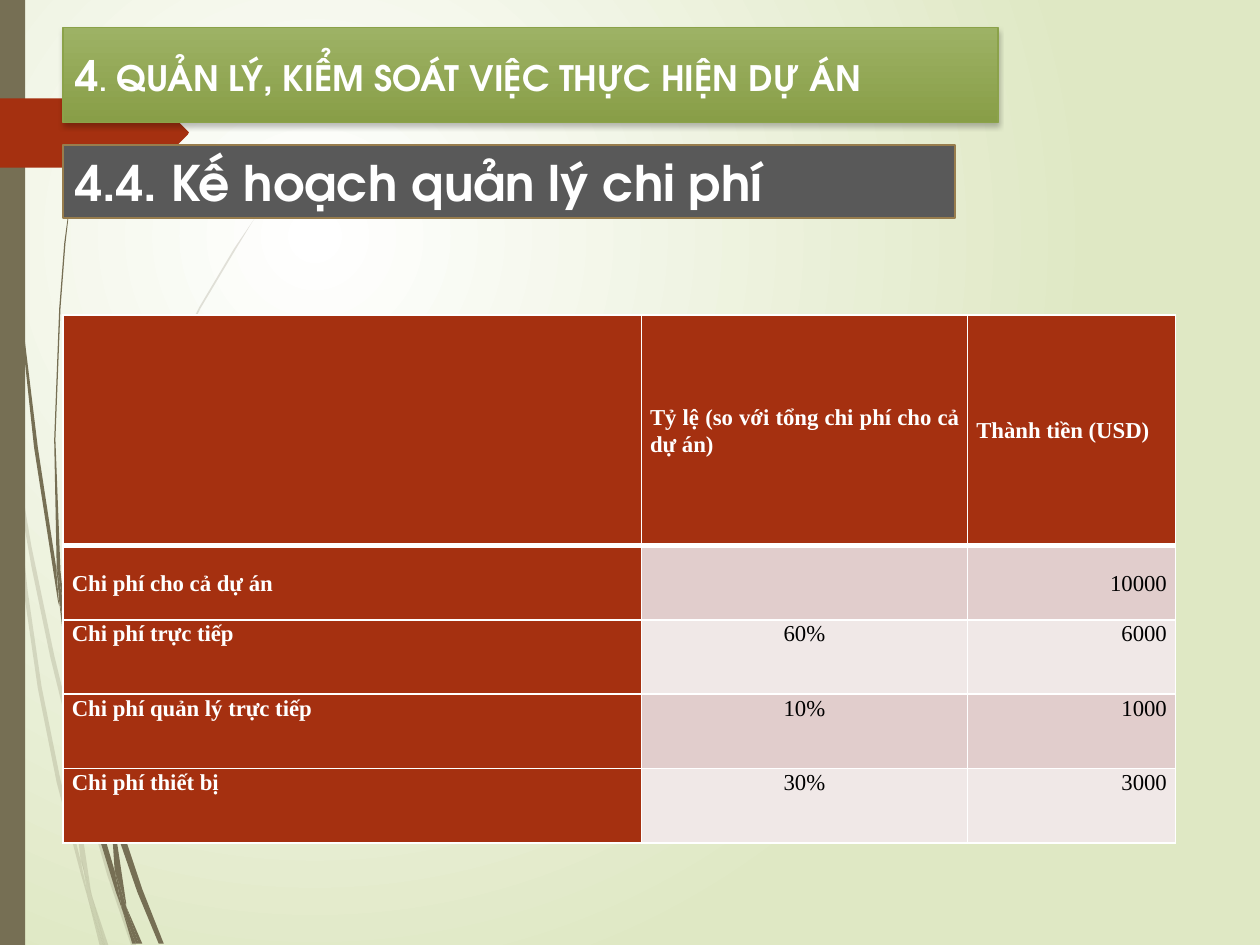
from lxml.etree import Element, SubElement
from pptx import Presentation
from pptx.dml.color import RGBColor
from pptx.enum.shapes import MSO_SHAPE
from pptx.enum.text import MSO_ANCHOR, MSO_AUTO_SIZE, PP_ALIGN
from pptx.oxml.ns import qn
from pptx.util import Inches, Pt

WHITE = RGBColor(0xFF, 0xFF, 0xFF)
BLACK = RGBColor(0, 0, 0)
PALE_GREEN = RGBColor(0xDF, 0xE8, 0xC4)
TAUPE = RGBColor(0x76, 0x6F, 0x54)
RUST = RGBColor(0xA5, 0x30, 0x10)
GREEN_TOP = RGBColor(0x9D, 0xB2, 0x65)
GREEN_BOTTOM = RGBColor(0x88, 0x9E, 0x47)
GREEN_LINE = RGBColor(0x8B, 0xA2, 0x49)
GREY = RGBColor(0x59, 0x59, 0x59)
BROWN_LINE = RGBColor(0x98, 0x7D, 0x4D)
BANDS = (RGBColor(0xE1, 0xCD, 0xCC), RGBColor(0xF0, 0xE8, 0xE7))

HEAD_FONT = "TeX Gyre Adventor"
BODY_FONT = "Times New Roman"

# text, size, bold
TITLE = [("4", 24, True), (".", 16, True), (" ", 20, False),
         ("QUẢN LÝ, KIỂM SOÁT VIỆC THỰC HIỆN DỰ ÁN", 20, True)]
SUBTITLE = [("4.4. Kế hoạch quản lý chi phí", 28, True)]

COSTS = [
    ("", "Tỷ lệ (so với tổng chi phí cho cả dự án)", "Thành tiền (USD)"),
    ("Chi phí cho cả dự án", "", "10000"),
    ("Chi phí trực tiếp", "60%", "6000"),
    ("Chi phí quản lý trực tiếp", "10%", "1000"),
    ("Chi phí thiết bị", "30%", "3000"),
]
COL_WIDTHS = (4.59, 2.59, 1.65)
ROW_HEIGHTS = (1.83,) + (0.59,) * 4
BODY_ALIGN = (PP_ALIGN.JUSTIFY, PP_ALIGN.CENTER, PP_ALIGN.RIGHT)

# outlines of the grass blades, in inches
PALE_BLADES = [
    [(0.08, 3.5), (0.06, 3.22), (0, 2.82), (0, 2.99), (0.07, 3.44)],
    [(0.4, 5.22), (0.59, 5.99), (0.59, 5.86), (0.43, 5.2), (0.25, 4.34),
     (0.1, 3.45), (0.12, 3.76), (0.25, 4.5)],
    [(0.64, 6.07), (0.61, 5.96), (0.61, 6.1), (0.85, 6.94), (1.04, 7.5),
     (1.08, 7.5), (0.88, 6.92)],
    [(0.83, 7.5), (0.86, 7.5), (0.73, 7.11)],
    [(0.64, 6.83), (0.48, 6.19), (0.33, 5.45), (0.22, 4.69), (0.12, 3.76),
     (0.08, 3.5), (0.19, 4.7), (0.3, 5.46), (0.45, 6.21), (0.64, 6.93),
     (0.7, 7.14), (0.69, 7.07)],
    [(0.58, 5.99), (0.6, 6.46), (0.64, 6.83), (0.67, 6.92), (0.73, 7.11),
     (0.72, 7.06), (0.63, 6.46), (0.61, 6.1), (0.61, 6.08)],
    [(0.61, 5.84), (0.66, 5.22), (0.76, 4.62), (0.92, 4.04), (1.11, 3.49),
     (1.34, 2.96), (1.59, 2.45), (1.87, 1.98), (2.01, 1.75), (2.17, 1.54),
     (2.17, 1.53), (2.01, 1.75), (1.86, 1.97), (1.58, 2.44), (1.33, 2.95),
     (1.1, 3.48), (0.9, 4.03), (0.75, 4.61), (0.64, 5.22), (0.59, 5.84),
     (0.59, 5.86), (0.61, 5.96)],
    [(0.7, 7.14), (0.79, 7.5), (0.82, 7.5)],
    [(0.61, 6.08), (0.61, 6.1), (0.61, 5.96), (0.59, 5.86), (0.58, 5.99)],
    [(0.67, 6.92), (0.65, 6.83), (0.69, 7.07), (0.7, 7.14), (0.82, 7.5),
     (0.83, 7.5), (0.73, 7.11)],
]
DARK_BLADES = [
    [(0.05, 1.1), (0.14, 2.33), (0.27, 3.55), (0.46, 4.77), (0.47, 4.81),
     (0.45, 4.57), (0.45, 4.53), (0.3, 3.55), (0.15, 2.32), (0.06, 1.09),
     (0.04, 0.48), (0.03, 0), (0.02, 0), (0.03, 0.48)],
    [(0.73, 5.92), (0.88, 6.45), (0.88, 6.33), (0.88, 6.31), (0.77, 5.9),
     (0.5, 4.72), (0.53, 5.05)],
    [(0.94, 6.49), (0.91, 6.41), (0.91, 6.56), (1.09, 7.08), (1.26, 7.49),
     (1.3, 7.49), (1.13, 7.06)],
    [(0.91, 6.91), (0.81, 6.57), (0.6, 5.56), (0.53, 5.05), (0.47, 4.77),
     (0.56, 5.57), (0.77, 6.59), (0.92, 7.08), (0.97, 7.22), (0.96, 7.17)],
    [(0.5, 4.72), (0.48, 4.53), (0.44, 3.49), (0.48, 2.45), (0.52, 1.93),
     (0.58, 1.41), (0.51, 1.93), (0.47, 2.45), (0.43, 3.49), (0.45, 4.49),
     (0.49, 4.72)],
    [(1.1, 7.49), (1.13, 7.49), (1, 7.19)],
    [(0.47, 4.77), (0.53, 5.05), (0.5, 4.72), (0.49, 4.72), (0.45, 4.49),
     (0.45, 4.53)],
    [(0.91, 6.33), (1.03, 5.52), (1.31, 4.76), (1.69, 4.06), (1.91, 3.74),
     (2.16, 3.44), (2.15, 3.44), (1.91, 3.73), (1.68, 4.05), (1.29, 4.74),
     (1.01, 5.51), (0.88, 6.31), (0.91, 6.41)],
    [(0.97, 7.22), (1.05, 7.49), (1.08, 7.49)],
    [(0.88, 6.45), (0.91, 6.91), (0.96, 7.06), (1, 7.19), (1, 7.16),
     (0.91, 6.56), (0.9, 6.51)],
    [(0.88, 6.45), (0.9, 6.51), (0.91, 6.56), (0.91, 6.41), (0.88, 6.31),
     (0.88, 6.33)],
    [(0.96, 7.06), (0.91, 6.91), (0.96, 7.17), (0.97, 7.22), (1.08, 7.49),
     (1.1, 7.49), (1, 7.19)],
]
ARROW = [(0, 0.78), (1.21, 0.78), (1.24, 0.79), (1.49, 1.04), (1.5, 1.05),
         (1.49, 1.07), (1.24, 1.32), (1.21, 1.33), (0, 1.33)]


def paint(sp, color):
    sp.shadow.inherit = False
    sp.fill.solid()
    sp.fill.fore_color.rgb = color
    sp.line.fill.background()


def add_outline(shapes, points, color, alpha=None):
    pts = [(Inches(x), Inches(y)) for x, y in points]
    builder = shapes.build_freeform(*pts[0])
    builder.add_line_segments(pts[1:])
    sp = builder.convert_to_shape()
    paint(sp, color)
    if alpha:
        clr = sp.element.spPr.find(".//" + qn("a:srgbClr"))
        SubElement(clr, qn("a:alpha"), val=str(alpha * 1000))


def set_stops(fill, *colors):
    fill.gradient()
    for stop, color, position in zip(fill.gradient_stops, colors, (0, 1)):
        stop.color.rgb = color
        stop.position = position


def write_bar(sp, runs, line):
    sp.line.color.rgb = line
    sp.line.width = Pt(0.75)
    tf = sp.text_frame
    tf.word_wrap = True
    tf.auto_size = MSO_AUTO_SIZE.NONE
    tf.vertical_anchor = MSO_ANCHOR.MIDDLE
    p = tf.paragraphs[0]
    p.alignment = PP_ALIGN.LEFT
    for text, size, bold in runs:
        add_run(p, text, name=HEAD_FONT, size=Pt(size), bold=bold, color=WHITE)


def add_run(p, text, color, **font):
    r = p.add_run()
    r.text = text
    for key, value in font.items():
        setattr(r.font, key, value)
    r.font.color.rgb = color


def set_borders(cell, **widths):
    """Draw white cell borders: 1 pt unless a side is given."""
    tc_pr = cell._tc.get_or_add_tcPr()
    for i, side in enumerate("LRTB"):
        ln = Element(qn("a:ln" + side), w=str(Pt(widths.get(side, 1))))
        fill = SubElement(ln, qn("a:solidFill"))
        SubElement(fill, qn("a:srgbClr"), val=str(WHITE))
        tc_pr.insert(i, ln)


prs = Presentation()
prs.slide_width, prs.slide_height = Inches(10), Inches(7.5)
s = prs.slides.add_slide(prs.slide_layouts[5])

set_stops(s.background.fill, WHITE, PALE_GREEN)
grad = s.element.find(".//" + qn("a:gradFill"))
grad.remove(grad.find(qn("a:lin")))
glow = SubElement(grad, qn("a:path"), path="circle")
SubElement(glow, qn("a:fillToRect"), l="50000", t="50000", r="100000", b="100000")

for blades, alpha in ((PALE_BLADES, 20), (DARK_BLADES, None)):
    group = s.shapes.add_group_shape()
    for blade in blades:
        add_outline(group.shapes, blade, TAUPE, alpha)
strip = s.shapes.add_shape(MSO_SHAPE.RECTANGLE, 0, 0, Inches(0.2), prs.slide_height)
paint(strip, TAUPE)
add_outline(s.shapes, ARROW, RUST)

title = s.shapes.title
title.element.getparent().append(title.element)  # in front of the grass
title.left, title.top, title.width, title.height = map(Inches, (0.5, 0.22, 7.42, 0.75))
set_stops(title.fill, GREEN_TOP, GREEN_BOTTOM)
title.fill.gradient_angle = 270
write_bar(title, TITLE, GREEN_LINE)
SubElement(title.element.spPr, qn("a:effectLst"))
shadow = SubElement(title.element.spPr.find(qn("a:effectLst")), qn("a:outerShdw"),
                    blurRad=str(Pt(3)), dist=str(Pt(2)), dir="5400000")
SubElement(SubElement(shadow, qn("a:srgbClr"), val=str(BLACK)), qn("a:alpha"), val="25000")

subtitle = s.shapes.add_shape(MSO_SHAPE.RECTANGLE, *map(Inches, (0.5, 1.15, 7.08, 0.58)))
paint(subtitle, GREY)
write_bar(subtitle, SUBTITLE, BROWN_LINE)

table = s.shapes.add_table(len(COSTS), len(COL_WIDTHS), Inches(0.5), Inches(2.5),
                           Inches(sum(COL_WIDTHS)), Inches(sum(ROW_HEIGHTS))).table
for col, width in zip(table.columns, COL_WIDTHS):
    col.width = Inches(width)
for row, height in zip(table.rows, ROW_HEIGHTS):
    row.height = Inches(height)
for i, texts in enumerate(COSTS):
    for j, text in enumerate(texts):
        cell = table.cell(i, j)
        is_head = i == 0 or j == 0
        cell.fill.solid()
        cell.fill.fore_color.rgb = RUST if is_head else BANDS[(i - 1) % 2]
        set_borders(cell, **{0: {"B": 3}, 1: {"T": 3}}.get(i, {}))
        cell.margin_left = cell.margin_right = Inches(0.07)
        cell.margin_top = cell.margin_bottom = 0
        cell.vertical_anchor = MSO_ANCHOR.MIDDLE if i < 2 else MSO_ANCHOR.TOP
        if text:
            p = cell.text_frame.paragraphs[0]
            p.alignment = PP_ALIGN.JUSTIFY if i == 0 else BODY_ALIGN[j]
            p.line_spacing, p.space_before, p.space_after = 1.07, Pt(2.5), Pt(8.4)
            add_run(p, text, name=BODY_FONT, size=Pt(13), bold=is_head,
                    color=WHITE if is_head else BLACK)

prs.save("out.pptx")
